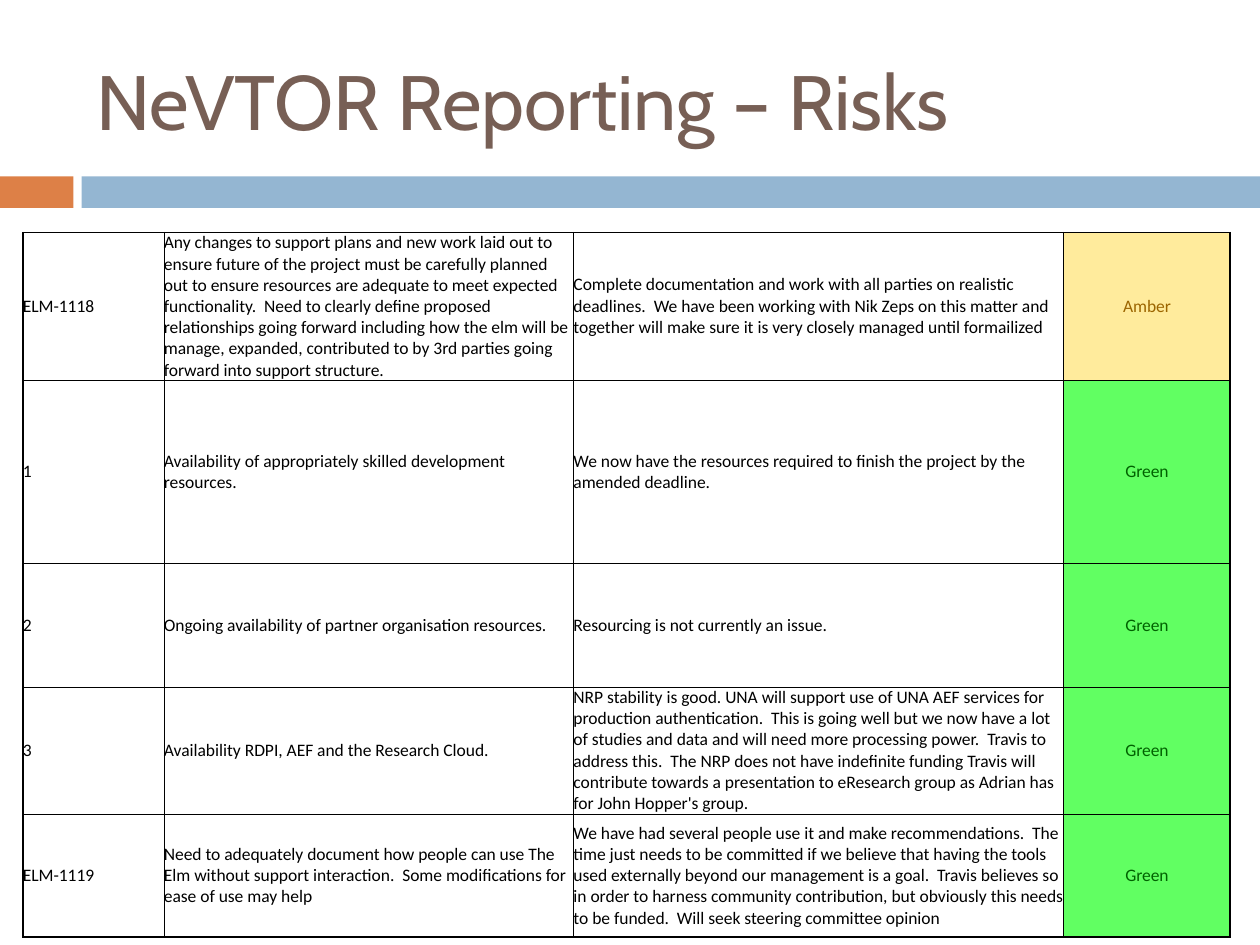
from lxml import etree
from pptx import Presentation
from pptx.dml.color import RGBColor
from pptx.enum.shapes import MSO_SHAPE
from pptx.enum.text import MSO_ANCHOR, PP_ALIGN
from pptx.oxml.ns import qn
from pptx.util import Pt

RECTANGLE = MSO_SHAPE.RECTANGLE
MIDDLE = MSO_ANCHOR.MIDDLE
LEFT, CENTER = PP_ALIGN.LEFT, PP_ALIGN.CENTER

BLACK = RGBColor(0x00, 0x00, 0x00)
WHITE = RGBColor(0xFF, 0xFF, 0xFF)
BROWN = RGBColor(0x77, 0x5F, 0x55)
ORANGE = RGBColor(0xDD, 0x80, 0x47)
BLUE = RGBColor(0x94, 0xB6, 0xD2)
AMBER_FILL = RGBColor(0xFF, 0xEB, 0x9C)
AMBER_TEXT = RGBColor(0x9C, 0x65, 0x00)
GREEN_FILL = RGBColor(0x61, 0xFF, 0x62)
GREEN_TEXT = RGBColor(0x00, 0x61, 0x00)

STATUS_COLOURS = {
    "Amber": (AMBER_FILL, AMBER_TEXT),
    "Green": (GREEN_FILL, GREEN_TEXT),
}
COLUMN_SHARES = [1.12, 3.25, 3.89, 1.32]
ROW_HEIGHTS = [84.5, 105, 70.4, 72.6, 70.4]
RISKS = [
    ("ELM-1118",
     "Any changes to support plans and new work laid out to ensure future of the "
     "project must be carefully planned out to ensure resources are adequate to meet "
     "expected functionality.  Need to clearly define proposed relationships going "
     "forward including how the elm will be manage, expanded, contributed to by 3rd "
     "parties going forward into support structure.",
     "Complete documentation and work with all parties on realistic deadlines.  We "
     "have been working with Nik Zeps on this matter and together will make sure it "
     "is very closely managed until formailized",
     "Amber"),
    ("1",
     "Availability of appropriately skilled development resources.",
     "We now have the resources required to finish the project by the amended deadline.",
     "Green"),
    ("2",
     "Ongoing availability of partner organisation resources.",
     "Resourcing is not currently an issue.",
     "Green"),
    ("3",
     "Availability RDPI, AEF and the Research Cloud.",
     "NRP stability is good. UNA will support use of UNA AEF services for production "
     "authentication.  This is going well but we now have a lot of studies and data "
     "and will need more processing power.  Travis to address this.  The NRP does not "
     "have indefinite funding Travis will contribute towards a presentation to "
     "eResearch group as Adrian has for John Hopper's group.",
     "Green"),
    ("ELM-1119",
     "Need to adequately document how people can use The Elm without support "
     "interaction.  Some modifications for ease of use may help",
     "We have had several people use it and make recommendations.  The time just needs "
     "to be committed if we believe that having the tools used externally beyond our "
     "management is a goal.  Travis believes so in order to harness community "
     "contribution, but obviously this needs to be funded.  Will seek steering "
     "committee opinion",
     "Green"),
]


def add_title(slide, left, top, width, height):
    title = slide.shapes.add_textbox(Pt(left), Pt(top), Pt(width), Pt(height))
    frame = title.text_frame
    frame.word_wrap = True
    frame.vertical_anchor = MIDDLE
    heading = frame.paragraphs[0]
    heading.text = "NeVTOR Reporting – Risks"
    heading.font.name = "Cabin"
    heading.font.size = Pt(44)
    heading.font.color.rgb = BROWN


def add_band(slide, left, top, width, height):
    accent_width, gap = 42, 4.6
    bar_offset = accent_width + gap
    for offset, length, colour in (
        (0, accent_width, ORANGE),
        (bar_offset, width - bar_offset, BLUE),
    ):
        bar = slide.shapes.add_shape(
            RECTANGLE, Pt(left + offset), Pt(top), Pt(length), Pt(height))
        bar.shadow.inherit = False
        bar.fill.solid()
        bar.fill.fore_color.rgb = colour
        bar.line.fill.background()


def set_borders(cell, widths):
    properties = cell._tc.get_or_add_tcPr()
    for index, (side, width) in enumerate(widths.items()):
        border = etree.Element(qn(f"a:ln{side}"), w=str(Pt(width)))
        fill = etree.SubElement(border, qn("a:solidFill"))
        etree.SubElement(fill, qn("a:srgbClr"), val=str(BLACK))
        properties.insert(index, border)


def fill_cell(cell, text, background, colour, alignment):
    cell.margin_left = cell.margin_right = cell.margin_top = cell.margin_bottom = 0
    cell.vertical_anchor = MIDDLE
    cell.fill.solid()
    cell.fill.fore_color.rgb = background
    entry = cell.text_frame.paragraphs[0]
    entry.text = text
    entry.alignment = alignment
    entry.font.name = "Calibri"
    entry.font.size = Pt(10)
    entry.font.color.rgb = colour


def add_risk_table(slide, left, top, width, height):
    last_row, last_column = len(RISKS) - 1, len(COLUMN_SHARES) - 1
    table = slide.shapes.add_table(
        len(RISKS), len(COLUMN_SHARES), Pt(left), Pt(top), Pt(width), Pt(height)).table
    table.first_row = table.horz_banding = False
    for column, share in zip(table.columns, COLUMN_SHARES):
        column.width = Pt(width * share / sum(COLUMN_SHARES))
    for row, row_height in zip(table.rows, ROW_HEIGHTS):
        row.height = Pt(height * row_height / sum(ROW_HEIGHTS))
    for r, risk in enumerate(RISKS):
        for c, text in enumerate(risk):
            cell = table.cell(r, c)
            background, colour = STATUS_COLOURS.get(text, (WHITE, BLACK))
            alignment = CENTER if c == last_column else LEFT
            fill_cell(cell, text, background, colour, alignment)
            set_borders(cell, {
                "L": 1 if c == 0 else 0.5,
                "R": 1 if c == last_column else 0.5,
                "T": 0.5,
                "B": 1 if r == last_row else 0.5,
            })


def main():
    deck = Presentation()
    deck.slide_width, deck.slide_height = Pt(720), Pt(540)
    slide = deck.slides.add_slide(deck.slide_layouts[6])
    add_band(slide, 0, 100.8, 720, 18)
    add_title(slide, 48, 18, 642, 78)
    add_risk_table(slide, 13, 132.7, 690, 402.9)
    deck.save("out.pptx")


if __name__ == "__main__":
    main()
